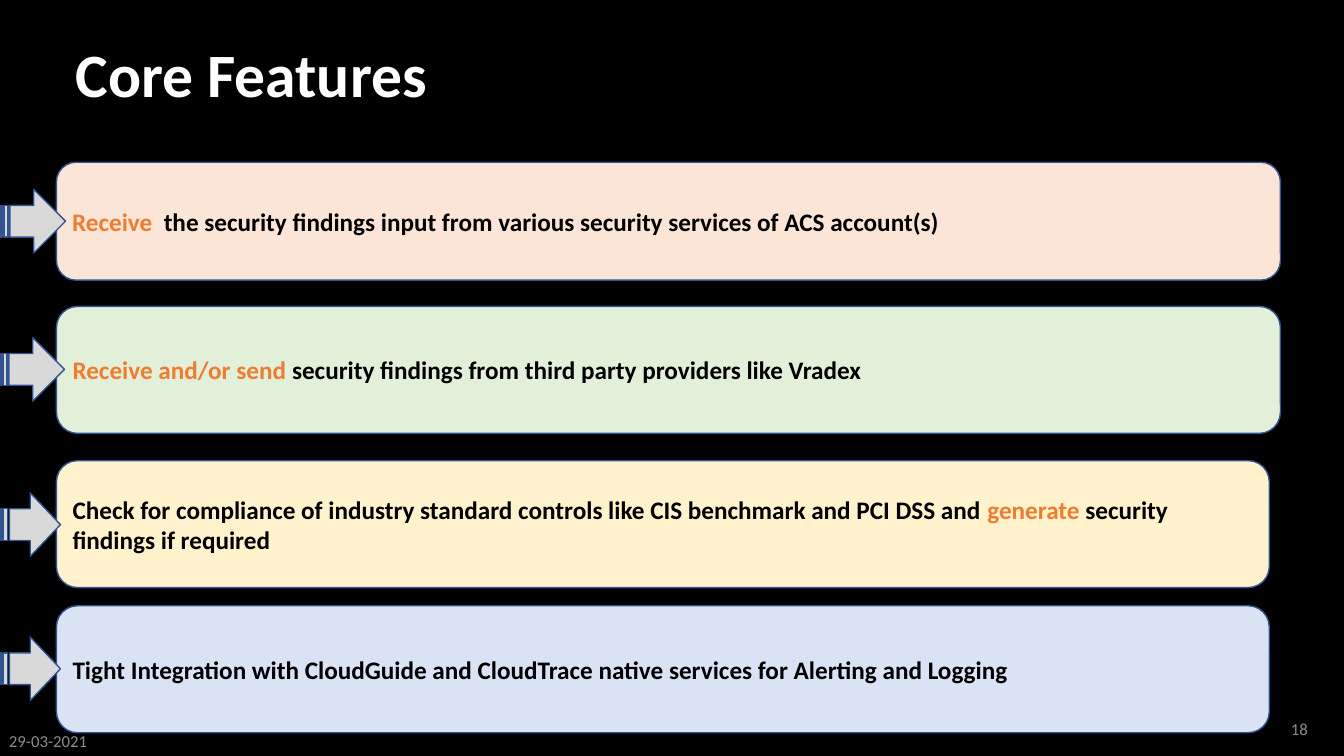
import pptx
import pptx.util
import pptx.dml.color
import pptx.enum.shapes
import pptx.enum.text

Inches, Pt = pptx.util.Inches, pptx.util.Pt
RGBColor = pptx.dml.color.RGBColor
SHAPE = pptx.enum.shapes.MSO_SHAPE
ALIGN = pptx.enum.text.PP_ALIGN
MIDDLE = pptx.enum.text.MSO_ANCHOR.MIDDLE

BLACK = RGBColor(0x00, 0x00, 0x00)
WHITE = RGBColor(0xFF, 0xFF, 0xFF)
ORANGE = RGBColor(0xED, 0x7D, 0x31)
OUTLINE = RGBColor(0x32, 0x54, 0x91)
ARROW_GREY = RGBColor(0xD9, 0xD9, 0xD9)
FOOTER_GREY = RGBColor(0x8C, 0x8C, 0x8C)
PEACH = RGBColor(0xFB, 0xE5, 0xD6)
GREEN = RGBColor(0xE2, 0xF0, 0xD9)
YELLOW = RGBColor(0xFF, 0xF2, 0xCC)
BLUE = RGBColor(0xDA, 0xE3, 0xF3)


def add_outlined(kind, left, top, width, height, fill):
    shape = slide.shapes.add_shape(
        kind, Inches(left), Inches(top), Inches(width), Inches(height))
    shape.shadow.inherit = False
    shape.fill.solid()
    shape.fill.fore_color.rgb = fill
    shape.line.color.rgb = OUTLINE
    shape.line.width = Pt(1)
    return shape


def style_paragraph(para, size, bold, align):
    para.alignment = align
    para.font.name = "Calibri"
    para.font.size = Pt(size)
    para.font.bold = bold


deck = pptx.Presentation()
deck.slide_width = Inches(13.33)
deck.slide_height = Inches(7.5)
slide = deck.slides.add_slide(deck.slide_layouts[5])
slide.background.fill.solid()
slide.background.fill.fore_color.rgb = BLACK

# Title
title = slide.shapes.title
title.left, title.top = Inches(0.65), Inches(0.29)
title.width, title.height = Inches(3.69), Inches(0.96)
title.text_frame.text = "Core Features"
title.text_frame.auto_size = pptx.enum.text.MSO_AUTO_SIZE.NONE
title.text_frame.vertical_anchor = MIDDLE
heading = title.text_frame.paragraphs[0]
style_paragraph(heading, 44, True, ALIGN.LEFT)
heading.font.color.rgb = WHITE
heading.line_spacing = 0.9

# Feature boxes: top, width, height, fill, coloured text
features = [
    (1.61, 12.14, 1.17, PEACH, [
        ("Receive ", ORANGE),
        (" the security findings input from various security services of "
         "ACS account(s)", BLACK)]),
    (3.04, 12.14, 1.26, GREEN, [
        ("Receive and/or send ", ORANGE),
        ("security findings from third party providers like Vradex", BLACK)]),
    (4.57, 12.03, 1.26, YELLOW, [
        ("Check for compliance of industry standard controls like CIS "
         "benchmark and PCI DSS and ", BLACK),
        ("generate", ORANGE),
        (" security findings if required", BLACK)]),
    (6.01, 12.03, 1.26, BLUE, [
        ("Tight Integration with CloudGuide and CloudTrace native services "
         "for Alerting and Logging", BLACK)]),
]
for top, width, height, fill, pieces in features:
    box = add_outlined(SHAPE.ROUNDED_RECTANGLE, 0.56, top, width, height, fill)
    box.text_frame.word_wrap = True
    box.text_frame.vertical_anchor = MIDDLE
    para = box.text_frame.paragraphs[0]
    style_paragraph(para, 18, True, ALIGN.LEFT)
    for words, color in pieces:
        span = para.add_run()
        span.text = words
        span.font.color.rgb = color

# Striped arrows pointing at the boxes
for left, top, width in [(0, 1.88, 0.65), (-0.01, 3.35, 0.65),
                         (0, 4.89, 0.6), (0, 6.32, 0.6)]:
    add_outlined(SHAPE.STRIPED_RIGHT_ARROW, left, top, width, 0.63, ARROW_GREY)

# Date and page number
for left, top, words, align in [(-0.01, 7.15, "29-03-2021", ALIGN.LEFT),
                                (10.07, 7.03, "18", ALIGN.RIGHT)]:
    footer = slide.shapes.add_textbox(
        Inches(left), Inches(top), Inches(3), Inches(0.4))
    footer.text_frame.word_wrap = True
    footer.text_frame.vertical_anchor = MIDDLE
    para = footer.text_frame.paragraphs[0]
    para.text = words
    style_paragraph(para, 12, False, align)
    para.font.color.rgb = FOOTER_GREY

deck.save("out.pptx")
